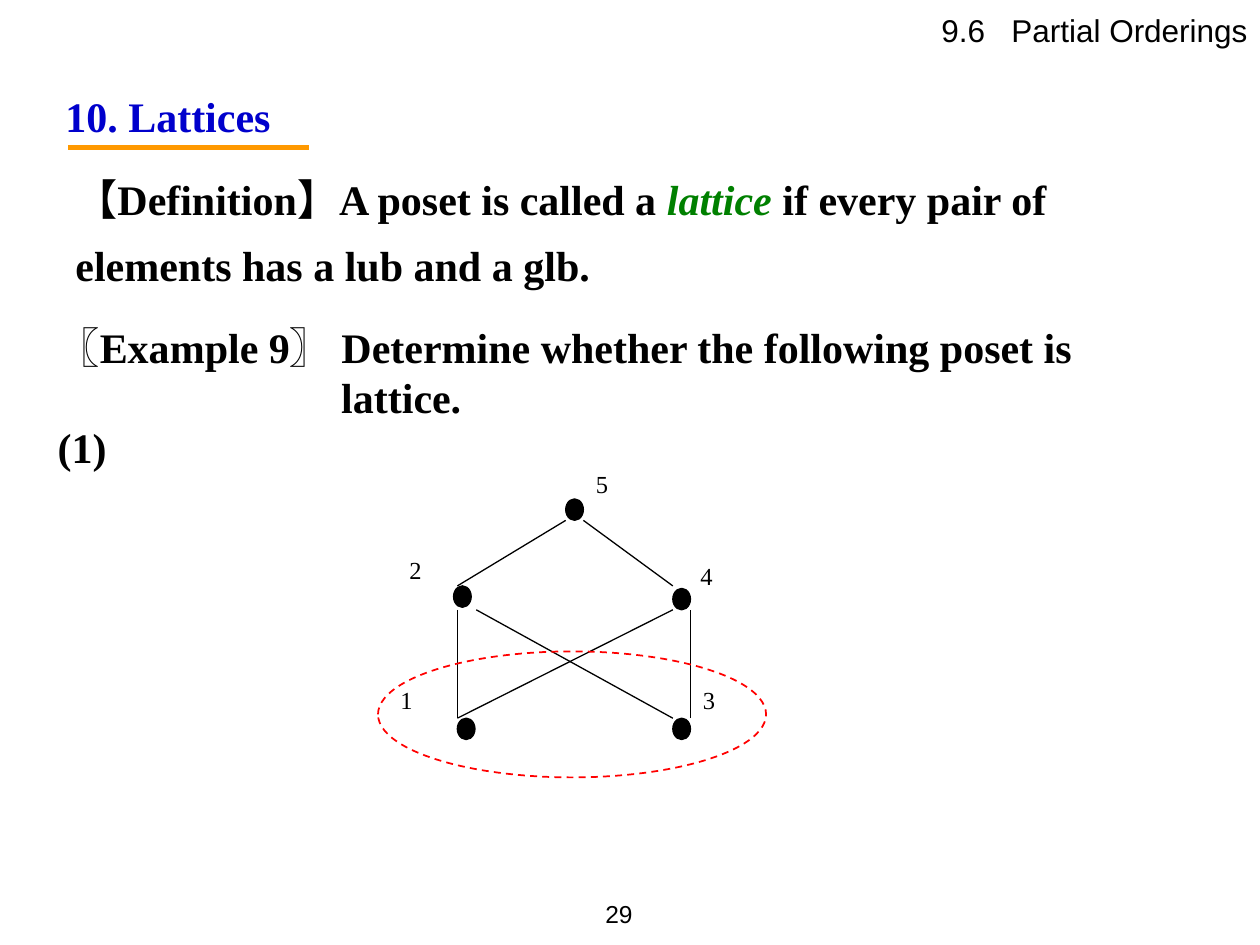
from lxml.etree import SubElement
from pptx import Presentation
from pptx.dml.color import RGBColor
from pptx.enum.dml import MSO_LINE
from pptx.enum.shapes import MSO_CONNECTOR, MSO_SHAPE
from pptx.enum.text import MSO_ANCHOR, PP_ALIGN
from pptx.oxml.ns import qn
from pptx.util import Inches, Pt

BLACK, BLUE, GREEN = "000000", "0000CC", "008000"
ORANGE, RED = "FF9900", "FF0000"
SERIF, SANS, CJK = "Times New Roman", "Arial", "Noto Sans CJK SC"
DOT_WIDTH, DOT_HEIGHT = 0.14, 0.17


def color(value):
    return RGBColor.from_string(value)


def add_run(paragraph, text, size=24, font=SERIF, fill=BLACK, bold=False,
            italic=False, spacing=0):
    run = paragraph.add_run()
    run.text = text
    run.font.size = Pt(size)
    run.font.name = font
    run.font.bold = bold
    run.font.italic = italic
    run.font.color.rgb = color(fill)
    properties = run.font._element
    SubElement(properties, qn("a:ea")).set("typeface", CJK)
    if spacing:
        properties.set("spc", str(int(spacing * 100)))


def add_text(slide, box, paragraphs, align=PP_ALIGN.LEFT, before=0, hanging=0,
             wrap=True, anchor=MSO_ANCHOR.TOP, **run_format):
    """Each paragraph is a list of (text, format changes) pairs."""
    frame = slide.shapes.add_textbox(*map(Inches, box)).text_frame
    frame.word_wrap = wrap
    frame.vertical_anchor = anchor
    for index, runs in enumerate(paragraphs):
        paragraph = frame.paragraphs[0] if index == 0 else frame.add_paragraph()
        paragraph.alignment = align
        paragraph.space_before = Pt(before)
        if hanging:
            set_indent(paragraph, hanging, -hanging)
        for text, changes in runs:
            add_run(paragraph, text, **{**run_format, **changes})
    return frame


def set_indent(paragraph, margin, first_line):
    properties = paragraph._p.get_or_add_pPr()
    properties.set("marL", str(Inches(margin)))
    properties.set("indent", str(Inches(first_line)))


def add_line(slide, start, end, line_color=BLACK, width=0.75):
    line = slide.shapes.add_connector(
        MSO_CONNECTOR.STRAIGHT, *map(Inches, (*start, *end)))
    line.line.color.rgb = color(line_color)
    line.line.width = Pt(width)
    SubElement(line._element.spPr, qn("a:effectLst"))


def add_ellipse(slide, box, line_color, width=0.75, fill=None, dash=None):
    shape = slide.shapes.add_shape(MSO_SHAPE.OVAL, *map(Inches, box))
    shape.shadow.inherit = False
    if fill:
        shape.fill.solid()
        shape.fill.fore_color.rgb = color(fill)
    else:
        shape.fill.background()
    shape.line.color.rgb = color(line_color)
    shape.line.width = Pt(width)
    if dash:
        shape.line.dash_style = dash


def add_hasse_diagram(slide):
    # Element: dot position, label position
    nodes = {
        "5": ((4.49, 3.96), (4.63, 3.67)),
        "2": ((3.6, 4.65), (3.15, 4.36)),
        "4": ((5.34, 4.67), (5.46, 4.4)),
        "1": ((3.63, 5.7), (3.08, 5.39)),
        "3": ((5.34, 5.7), (5.48, 5.39)),
    }
    edges = [
        ((3.63, 4.84), (3.63, 5.7)),
        ((3.63, 5.7), (5.34, 4.84)),
        ((3.78, 4.84), (5.34, 5.7)),
        ((5.48, 5.7), (5.48, 4.84)),
        ((3.63, 4.65), (4.49, 4.13)),
        ((4.63, 4.13), (5.34, 4.65)),
    ]
    for dot, _ in nodes.values():
        add_ellipse(slide, (*dot, DOT_WIDTH, DOT_HEIGHT), BLACK, fill=BLACK)
    for start, end in edges:
        add_line(slide, start, end)
    for name, (_, label) in nodes.items():
        add_text(slide, (*label, 0.85, 0.86), [[(name, {})]], size=14)

    # Dashed ellipse
    add_ellipse(slide, (3, 5.17, 3.08, 1), RED, width=1, dash=MSO_LINE.DASH)


def main():
    presentation = Presentation()
    presentation.slide_width = Inches(10)
    presentation.slide_height = Inches(7.5)
    slide = presentation.slides.add_slide(presentation.slide_layouts[6])

    # Page number
    add_text(slide, (4.45, 7, 0.67, 0.5), [[("29", {})]], align=PP_ALIGN.RIGHT,
             wrap=False, anchor=MSO_ANCHOR.MIDDLE, size=14, font=SANS)

    # Heading with its rule
    add_text(slide, (0.42, 0.67, 8.83, 0.5), [[("10. Lattices", {})]],
             before=9, hanging=0.5, fill=BLUE, bold=True)
    add_line(slide, (0.54, 1.17), (2.45, 1.17), ORANGE, 3)

    # Example
    example = add_text(slide, (0.36, 2.5, 8.92, 1.3), [
        [("〖", {"font": CJK}), ("Example 9", {}), ("〗 ", {"font": CJK}),
         ("Determine whether the following poset is", {})],
        [("lattice.", {})],
        [("(1)", {})],
    ], hanging=0.5, bold=True)
    set_indent(example.paragraphs[1], 2.25, 0)

    # Definition
    add_text(slide, (0.5, 1.33, 8.92, 1.03), [
        [("【Definition】A poset is called a ", {}),
         ("lattice ", {"fill": GREEN, "italic": True}),
         ("if every pair of", {})],
        [("elements has a lub and a glb.", {})],
    ], before=9, hanging=0.5, bold=True)

    add_hasse_diagram(slide)

    # Section title, with a widened space after the number
    add_text(slide, (5.25, 0.04, 4.75, 0.4),
             [[("9.6", {}), (" ", {"spacing": 10}), ("Partial Orderings", {})]],
             align=PP_ALIGN.RIGHT, before=11.2, size=18, font=SANS)

    presentation.save("out.pptx")


if __name__ == "__main__":
    main()
